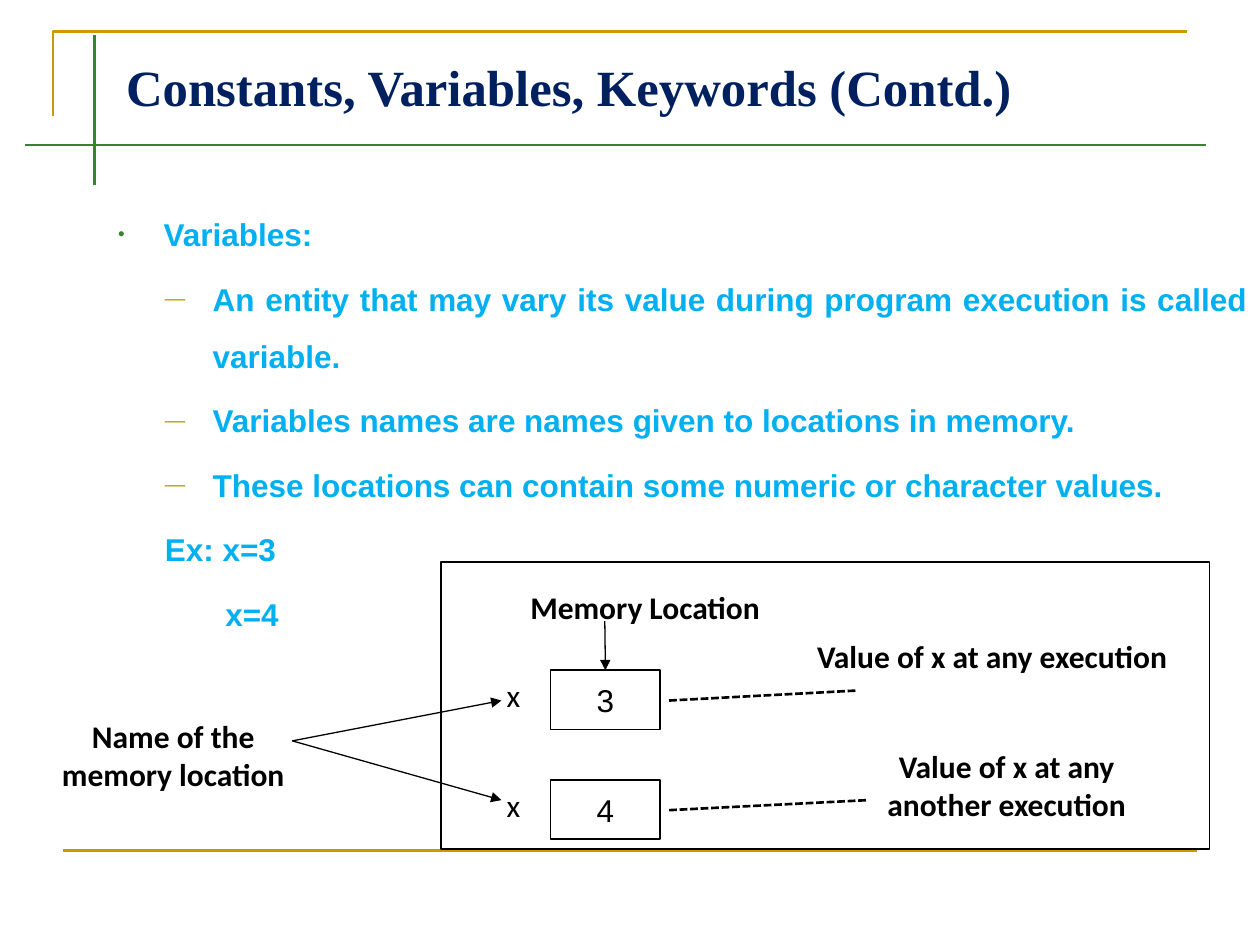
from lxml.etree import SubElement
from pptx import Presentation
from pptx.dml.color import RGBColor
from pptx.enum.dml import MSO_LINE
from pptx.enum.shapes import MSO_CONNECTOR, MSO_SHAPE
from pptx.enum.text import MSO_ANCHOR, PP_ALIGN
from pptx.oxml.ns import qn
from pptx.util import Inches, Pt

COLORS = {"gold": "CC9900", "green": "3B812F", "navy": "002060",
          "sky": "00B0F0", "black": "000000", "white": "FFFFFF"}

# text, left margin, hanging indent, bullet, bullet colour, bullet size in %
DOT = (0.73, -0.36, "•", "green", 60)
DASH = (1.12, -0.38, "—", "gold", 65)
POINTS = [
    ("Variables:", *DOT),
    ("An entity that may vary its value during program execution "
     "is called variable.", *DASH),
    ("Variables names are names given to locations in memory.", *DASH),
    ("These locations can contain some numeric or character values.", *DASH),
    ("Ex: x=3", 0.74, 0, None, None, None),
    ("x=4", 1.22, 0, None, None, None),
]


def rgb(name):
    return RGBColor.from_string(COLORS[name])


def style(para, font, size, color="black", bold=False):
    for run in para.runs:
        run.font.name = font
        run.font.size = Pt(size)
        run.font.bold = bold
        run.font.color.rgb = rgb(color)


def add_title(slide, text):
    title = slide.shapes.title
    title.left, title.top = Inches(0.5), Inches(0.3)
    title.width, title.height = Inches(9), Inches(0.77)
    frame = title.text_frame
    frame.text = text
    frame.margin_left = Inches(0.5)
    frame.vertical_anchor = MSO_ANCHOR.MIDDLE
    para = frame.paragraphs[0]
    para.alignment = PP_ALIGN.LEFT
    style(para, "Times New Roman", 29, "navy", True)


def add_corner(slide):
    """Draw the gold angle at the top left."""
    build = slide.shapes.build_freeform(Inches(0.42), Inches(0.92))
    build.add_line_segments([(Inches(0.42), Inches(0.25)),
                             (Inches(9.42), Inches(0.25))], close=False)
    shape = build.convert_to_shape()
    shape.shadow.inherit = False
    shape.fill.background()
    shape.line.color.rgb = rgb("gold")
    shape.line.width = Pt(1.5)


def add_line(slide, start, end, color="black", width=1.5, dash=False, arrow=False):
    line = slide.shapes.add_connector(
        MSO_CONNECTOR.STRAIGHT, *map(Inches, start + end))
    line.line.color.rgb = rgb(color)
    line.line.width = Pt(width)
    if dash:
        line.line.dash_style = MSO_LINE.SQUARE_DOT
    if arrow:
        SubElement(line.line._get_or_add_ln(), qn("a:tailEnd"), type="triangle")
    SubElement(line._element.spPr, qn("a:effectLst"))
    return line


def add_bullet(para, char, color, size):
    props = para._p.get_or_add_pPr()
    tint = SubElement(props, qn("a:buClr"))
    SubElement(tint, qn("a:srgbClr"), val=COLORS[color])
    SubElement(props, qn("a:buSzPct"), val=str(size * 1000))
    SubElement(props, qn("a:buFont"), typeface="Arial")
    SubElement(props, qn("a:buChar"), char=char)


def add_points(slide):
    box = slide.shapes.add_textbox(
        Inches(0.47), Inches(1.51), Inches(9.53), Inches(5.99))
    frame = box.text_frame
    frame.word_wrap = True
    for i, (text, left, hang, char, color, size) in enumerate(POINTS):
        para = frame.add_paragraph() if i else frame.paragraphs[0]
        para.text = text
        para.alignment = PP_ALIGN.JUSTIFY
        para.line_spacing = 1.5
        para.space_before = Pt(4.5 if i else 0)
        props = para._p.get_or_add_pPr()
        props.set("marL", str(Inches(left)))
        props.set("indent", str(Inches(hang)))
        if char:
            add_bullet(para, char, color, size)
        style(para, "Arial", 18, "sky", True)


def add_box(slide, left, top, width, height, text=""):
    box = slide.shapes.add_shape(
        MSO_SHAPE.RECTANGLE, *map(Inches, (left, top, width, height)))
    box.shadow.inherit = False
    box.fill.solid()
    box.fill.fore_color.rgb = rgb("white")
    box.line.color.rgb = rgb("black")
    box.line.width = Pt(1)
    if text:
        box.text_frame.text = text
        box.text_frame.vertical_anchor = MSO_ANCHOR.MIDDLE
        para = box.text_frame.paragraphs[0]
        para.alignment = PP_ALIGN.CENTER
        style(para, "Arial", 18)
    return box


def add_label(slide, text, left, top, width, height=0.4, bold=True):
    box = slide.shapes.add_textbox(*map(Inches, (left, top, width, height)))
    frame = box.text_frame
    frame.word_wrap = True
    frame.text = text
    para = frame.paragraphs[0]
    para.alignment = PP_ALIGN.CENTER
    style(para, "Calibri", 18, bold=bold)


def add_memory(slide):
    """Draw the memory cells with their names and values."""
    add_box(slide, 3.5, 4.46, 6.1, 2.28)
    cells = []
    for top, value, right, tip in ((5.32, "3", 6.81, 5.56), (6.19, "4", 6.89, 6.35)):
        cells.append(add_box(slide, 4.37, top, 0.87, 0.47, value))
        add_label(slide, "x", 3.7, top, 0.75, bold=False)
        add_line(slide, (5.31, top + 0.24), (right, top + 0.16), dash=True)
        add_line(slide, (2.32, 5.88), (3.98, tip), width=0.75, arrow=True)
    add_label(slide, "Value of x at any execution", 6.34, 5.01, 3.07)
    add_label(slide, "Value of x at any another execution", 6.65, 5.88, 2.68, 0.7)
    add_label(slide, "Name of the memory location", 0.27, 5.64, 2.21, 0.7)
    add_label(slide, "Memory Location", 3.9, 4.62, 2.44)
    arrow = add_line(slide, (4.8, 4.93), (4.8, 5.32), width=0.75, arrow=True)
    arrow.end_connect(cells[0], 0)


def main():
    deck = Presentation()
    deck.slide_width, deck.slide_height = Inches(10), Inches(7.5)
    slide = deck.slides.add_slide(deck.slide_layouts[5])
    add_corner(slide)
    add_line(slide, (0.5, 6.75), (9.5, 6.75), "gold")
    add_title(slide, "Constants, Variables, Keywords (Contd.)")
    add_points(slide)
    add_line(slide, (0.2, 1.15), (9.57, 1.15), "green")
    add_line(slide, (0.75, 0.28), (0.75, 1.47), "green")
    add_memory(slide)
    deck.save("out.pptx")


if __name__ == "__main__":
    main()
